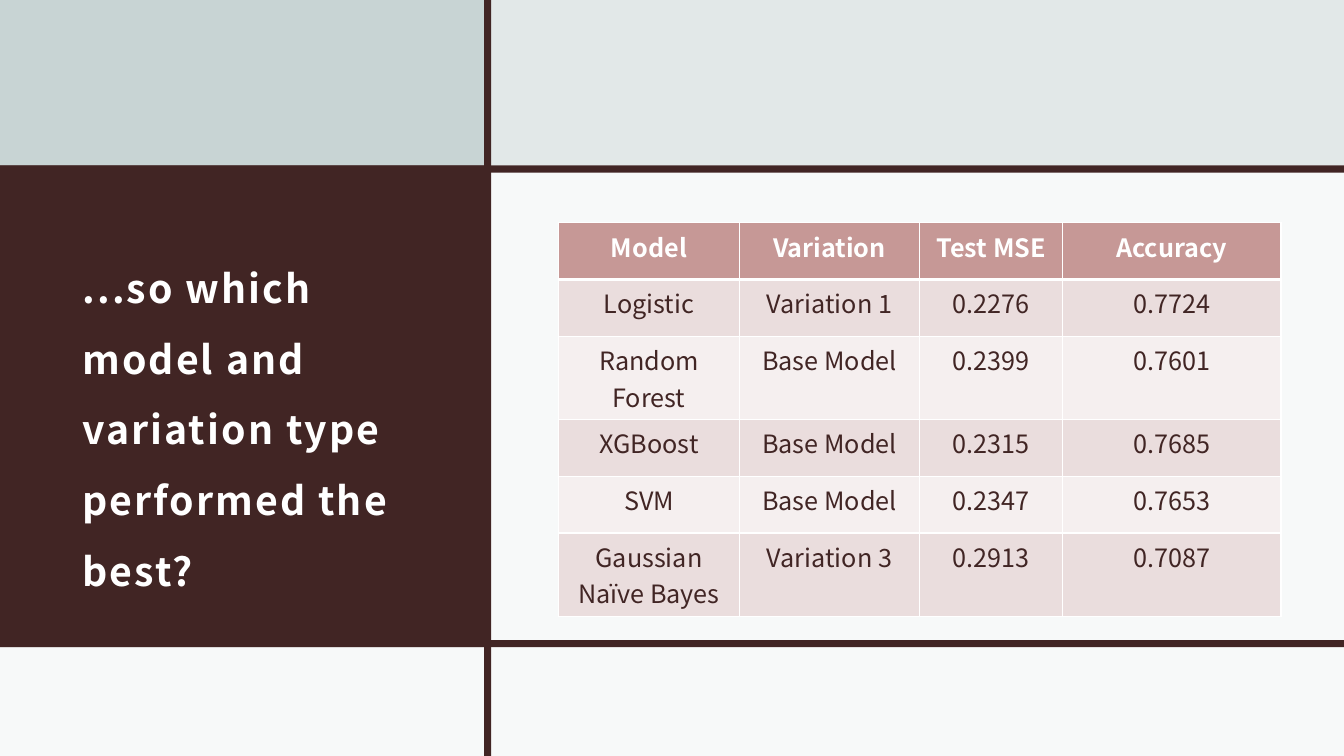
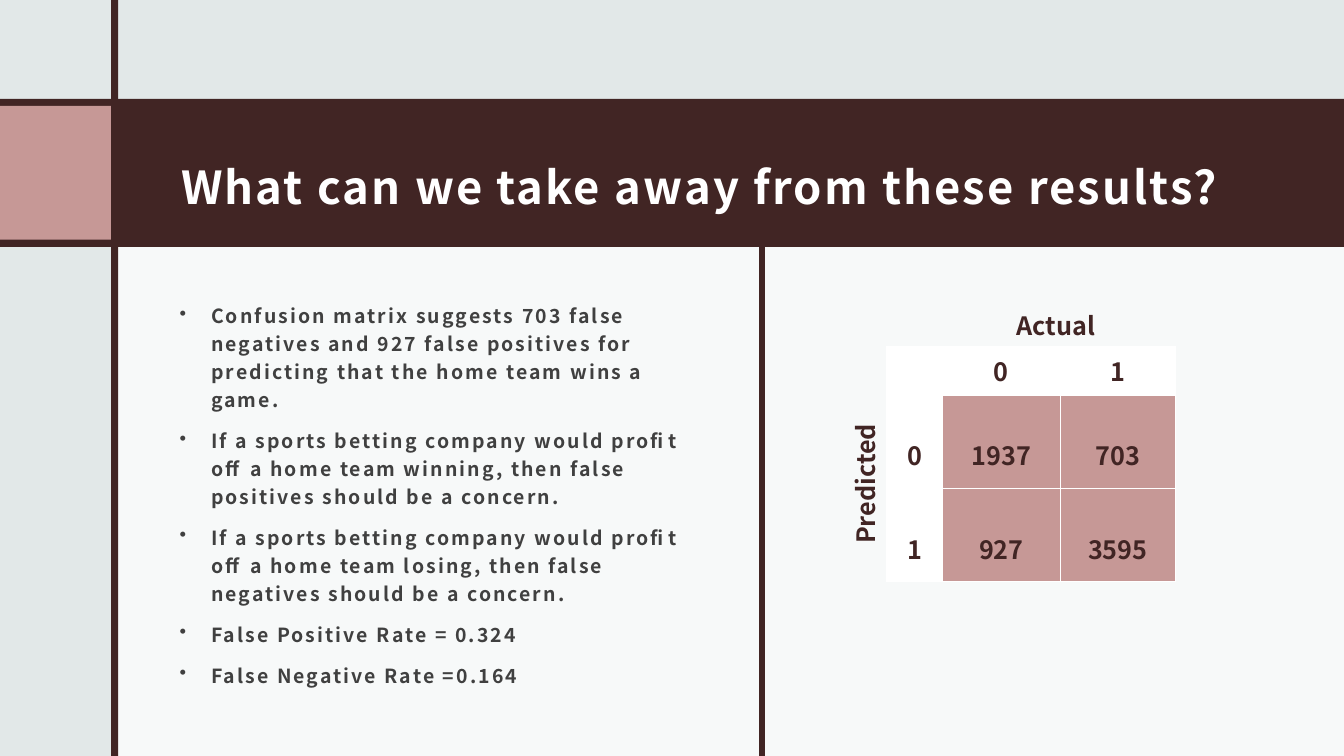
from lxml import etree
from pptx import Presentation
from pptx.dml.color import RGBColor
from pptx.enum.shapes import MSO_CONNECTOR, MSO_SHAPE
from pptx.enum.text import MSO_ANCHOR, PP_ALIGN
from pptx.oxml.ns import qn
from pptx.util import Cm, Pt

RECTANGLE = MSO_SHAPE.RECTANGLE
STRAIGHT = MSO_CONNECTOR.STRAIGHT
CENTER = PP_ALIGN.CENTER
LEFT = PP_ALIGN.LEFT
TOP = MSO_ANCHOR.TOP
MIDDLE = MSO_ANCHOR.MIDDLE

FONT = "Noto Sans CJK JP"
MAROON = "412524"
ROSE = "C69896"
PALE_ROSE = "EADDDD"
FAINT_ROSE = "F5EFEF"
MIST = "E2E8E8"
SAGE = "C8D4D4"
WHITE = "FFFFFF"
GREY = "404040"

WIDTH, HEIGHT = 33.87, 19.05
BAR = 0.18
TABLE_SIZE = 18
SPACING = 1.5
ONE_LINE, TWO_LINES = 1.43, 2.1

RESULTS = [
    ["Model", "Variation", "Test MSE", "Accuracy"],
    ["Logistic", "Variation 1", "0.2276", "0.7724"],
    ["Random Forest", "Base Model", "0.2399", "0.7601"],
    ["XGBoost", "Base Model", "0.2315", "0.7685"],
    ["SVM", "Base Model", "0.2347", "0.7653"],
    ["Gaussian Naïve Bayes", "Variation 3", "0.2913", "0.7087"],
]
CONFUSION = [
    ["", "0", "1"],
    ["0", "1937", "703"],
    ["1", "927", "3595"],
]
TAKEAWAYS = [
    "Confusion matrix suggests 703 false negatives and 927 false positives "
    "for predicting that the home team wins a game.",
    "If a sports betting company would profit off a home team winning, "
    "then false positives should be a concern.",
    "If a sports betting company would profit off a home team losing, "
    "then false negatives should be a concern.",
    "False Positive Rate = 0.324",
    "False Negative Rate =0.164",
]


def rgb(color):
    return RGBColor.from_string(color)


def place(box):
    return [Cm(length) for length in box]


def add_slide(deck):
    slide = deck.slides.add_slide(deck.slide_layouts[6])
    slide.background.fill.solid()
    slide.background.fill.fore_color.rgb = rgb(MIST)
    return slide


def add_panel(slide, box, color, opacity=100):
    panel = slide.shapes.add_shape(RECTANGLE, *place(box))
    panel.shadow.inherit = False
    panel.line.fill.background()
    panel.fill.solid()
    panel.fill.fore_color.rgb = rgb(color)
    if opacity < 100:
        tint = panel.fill._xPr.find(".//" + qn("a:srgbClr"))
        etree.SubElement(tint, qn("a:alpha"), val=str(opacity * 1000))


def add_row_bar(slide, top):
    add_panel(slide, (0, top, WIDTH, BAR), MAROON)


def add_column_bar(slide, left):
    add_panel(slide, (left, 0, BAR, HEIGHT), MAROON)


def style_para(para, size, color, bold=True, align=CENTER, spacing=0):
    para.alignment = align
    para.font.name = FONT
    para.font.size = Pt(size)
    para.font.bold = bold
    para.font.color.rgb = rgb(color)
    if spacing:
        para._p.pPr.find(qn("a:defRPr")).set("spc", str(round(spacing * 100)))


def add_text_frame(slide, box, anchor=TOP, inset=None):
    text_box = slide.shapes.add_textbox(*place(box))
    frame = text_box.text_frame
    frame.word_wrap = True
    frame.vertical_anchor = anchor
    if inset:
        frame.margin_left = frame.margin_right = frame.margin_top = Cm(inset)
        frame.margin_bottom = Cm(0.25)
    return text_box, frame


def add_title(slide, box, title, size):
    frame = add_text_frame(slide, box, MIDDLE, 0.3)[1]
    para = frame.paragraphs[0]
    para.text = title
    para.line_spacing = 1.5
    style_para(para, size, WHITE, align=LEFT, spacing=SPACING)


def add_label(slide, box, label, rotation=0):
    text_box, frame = add_text_frame(slide, box)
    text_box.rotation = rotation
    frame.paragraphs[0].text = label
    style_para(frame.paragraphs[0], TABLE_SIZE, MAROON)


def add_bullets(slide, box, items):
    frame = add_text_frame(slide, box, inset=0.3)[1]
    for index, item in enumerate(items):
        para = frame.add_paragraph() if index else frame.paragraphs[0]
        para.text = item
        properties = para._p.get_or_add_pPr()
        properties.set("marL", str(Cm(0.79)))
        properties.set("indent", str(-Cm(0.79)))
        etree.SubElement(properties, qn("a:buChar"), char="•")
        style_para(para, 13.9, GREY, align=LEFT, spacing=SPACING)
        para.line_spacing = 1.2
        if index:
            para.space_before = Pt(9.3)


def set_borders(cell, row):
    weights = {"lnL": 1, "lnR": 1, "lnT": 3 if row == 1 else 1, "lnB": 1 if row else 3}
    properties = cell._tc.get_or_add_tcPr()
    for index, (side, weight) in enumerate(weights.items()):
        line = etree.Element(qn("a:" + side), w=str(Pt(weight)))
        fill = etree.SubElement(line, qn("a:solidFill"))
        etree.SubElement(fill, qn("a:srgbClr"), val=WHITE)
        properties.insert(index, line)


def add_grid(slide, left, top, widths, heights, rows, style_cell):
    box = (left, top, sum(widths), sum(heights))
    table = slide.shapes.add_table(len(rows), len(widths), *place(box)).table
    for column, width in zip(table.columns, widths):
        column.width = Cm(width)
    for table_row, height in zip(table.rows, heights):
        table_row.height = Cm(height)
    for row, values in enumerate(rows):
        for column, value in enumerate(values):
            cell = table.cell(row, column)
            fill, color, bold, margin_top = style_cell(row, column)
            cell.fill.solid()
            cell.fill.fore_color.rgb = rgb(fill)
            cell.margin_top = Cm(margin_top)
            set_borders(cell, row)
            para = cell.text_frame.paragraphs[0]
            para.text = value
            style_para(para, TABLE_SIZE, color, bold)


def style_result(row, column):
    if row == 0:
        return ROSE, WHITE, True, 0.13
    return (PALE_ROSE if row % 2 else FAINT_ROSE), MAROON, False, 0.13


def style_confusion(row, column):
    fill = ROSE if row and column else WHITE
    return fill, MAROON, True, 1.05 if row else 0.13


def add_confusion_matrix(slide, left, top):
    add_grid(slide, left, top, [1.4, 2.97, 2.9], [1.2, 2.36, 2.36],
             CONFUSION, style_confusion)
    add_label(slide, (left - 3.2, top + 2.94, 5.33, 1.02), "Predicted", 270)
    add_label(slide, (left + 1.6, top - 1.04, 5.33, 1.02), "Actual")


def add_divider(slide, left, top, bottom):
    divider = slide.shapes.add_connector(
        STRAIGHT, Cm(left), Cm(top), Cm(left), Cm(bottom))
    divider.line.color.rgb = rgb(MAROON)
    divider.line.width = Pt(4.5)
    etree.SubElement(divider._element.spPr, qn("a:effectLst"))


def build_comparison(deck):
    slide = add_slide(deck)
    split, upper, lower = 12.29, 4.17, 16.13
    add_panel(slide, (0, upper, split, lower + BAR - upper), MAROON)
    add_panel(slide, (0, 0, split, upper), SAGE)
    add_panel(slide, (split, upper, WIDTH - split, lower + BAR - upper), WHITE, 75)
    add_panel(slide, (0, lower + BAR, WIDTH, HEIGHT - lower - BAR), WHITE, 75)
    add_row_bar(slide, upper)
    add_row_bar(slide, lower)
    add_column_bar(slide, split - BAR / 2)
    add_title(slide, (1.78, 5.44, 9.47, 10.11),
              "...so which model and variation type performed the best?", 28)
    heights = [ONE_LINE, ONE_LINE, TWO_LINES] * 2
    add_grid(slide, 14.08, 5.61, [4.55, 4.55, 3.6, 5.5], heights,
             RESULTS, style_result)


def build_takeaways(deck):
    slide = add_slide(deck)
    split, upper, lower = 2.8, 2.49, 6.22
    add_panel(slide, (split, lower, WIDTH - split, HEIGHT - lower), WHITE, 75)
    add_panel(slide, (0, upper, WIDTH, lower - upper), MAROON)
    add_panel(slide, (0, upper + BAR, split, lower - upper - 2 * BAR), ROSE)
    add_column_bar(slide, split)
    add_title(slide, (4.27, 2.9, 27.81, 2.87),
              "What can we take away from these results?", 32.4)
    add_bullets(slide, (4.23, 7.24, 14.15, 10.8), TAKEAWAYS)
    add_confusion_matrix(slide, 22.35, 8.74)
    add_divider(slide, 19.2, lower, HEIGHT)


def main():
    deck = Presentation()
    deck.slide_width, deck.slide_height = Cm(WIDTH), Cm(HEIGHT)
    build_comparison(deck)
    build_takeaways(deck)
    deck.save("out.pptx")


if __name__ == "__main__":
    main()
